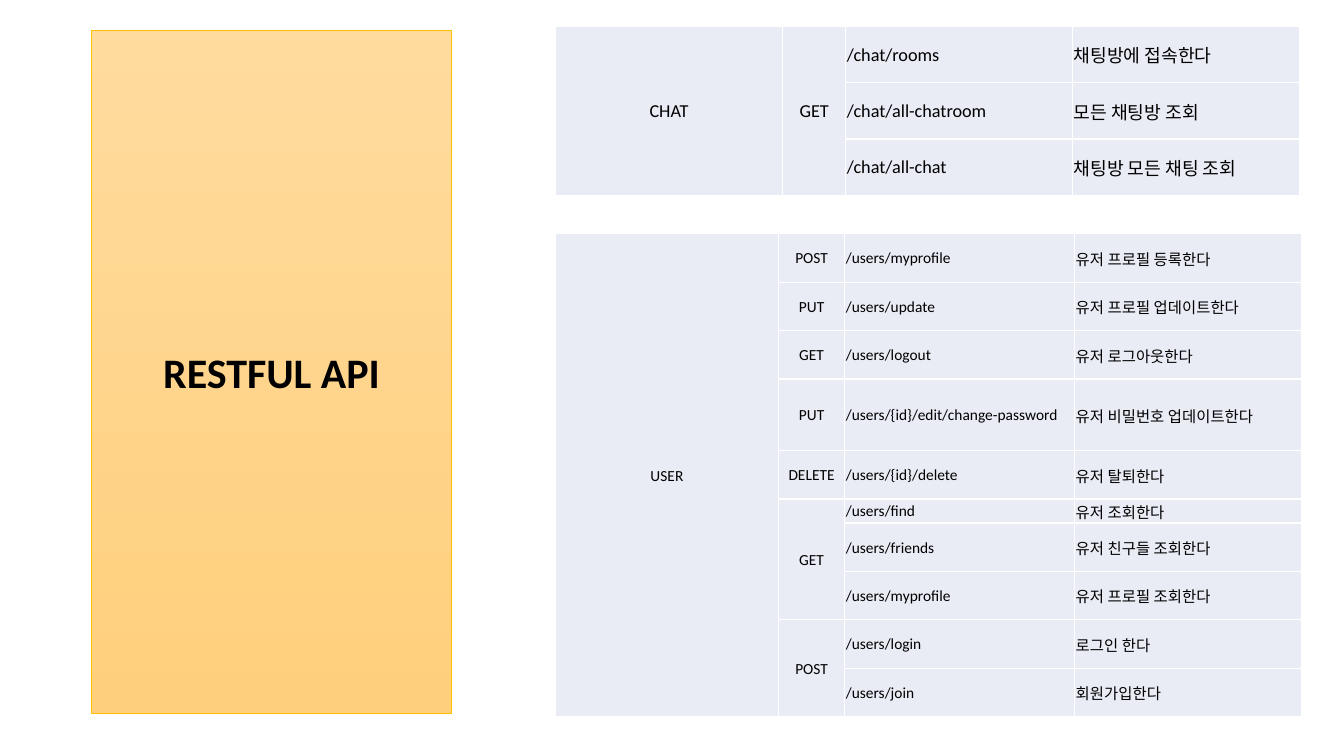
"""Build the RESTful API slide: a title panel beside the chat and user endpoint tables."""
from lxml.etree import SubElement
from pptx import Presentation
from pptx.dml.color import RGBColor
from pptx.enum.shapes import MSO_SHAPE
from pptx.enum.text import MSO_ANCHOR, PP_ALIGN
from pptx.oxml.ns import qn
from pptx.util import Inches, Pt

BLACK = RGBColor(0x00, 0x00, 0x00)
WHITE = RGBColor(0xFF, 0xFF, 0xFF)
CELL_BLUE = RGBColor(0xE9, 0xEB, 0xF5)
PANEL_TOP = RGBColor(0xFF, 0xDB, 0x9E)
PANEL_BOTTOM = RGBColor(0xFF, 0xD0, 0x7C)
PANEL_EDGE = RGBColor(0xFF, 0xC0, 0x00)

CELL_FORMAT = {
    "vertical_anchor": MSO_ANCHOR.MIDDLE,
    "margin_left": Inches(0.01),
    "margin_right": Inches(0.01),
    "margin_top": Inches(0.01),
    "margin_bottom": 0,
}

CHAT = {
    "resource": "CHAT", "top": 0.26, "size": 13,
    "columns": [2.25, 0.63, 2.25, 2.25],
    "heights": [0.56] * 3,
    "methods": [
        ("GET", [("/chat/rooms", "채팅방에 접속한다"),
                 ("/chat/all-chatroom", "모든 채팅방 조회"),
                 ("/chat/all-chat", "채팅방 모든 채팅 조회")]),
    ],
}
USER = {
    "resource": "USER", "top": 2.32, "size": 11,
    "columns": [2.21, 0.66, 2.28, 2.25],
    "heights": [0.48] * 3 + [0.71, 0.48, 0.24] + [0.48] * 4,
    "methods": [
        ("POST", [("/users/myprofile", "유저 프로필 등록한다")]),
        ("PUT", [("/users/update", "유저 프로필 업데이트한다")]),
        ("GET", [("/users/logout", "유저 로그아웃한다")]),
        ("PUT", [("/users/{id}/edit/change-password", "유저 비밀번호 업데이트한다")]),
        ("DELETE", [("/users/{id}/delete", "유저 탈퇴한다")]),
        ("GET", [("/users/find", "유저 조회한다"),
                 ("/users/friends", "유저 친구들 조회한다"),
                 ("/users/myprofile", "유저 프로필 조회한다")]),
        ("POST", [("/users/login", "로그인 한다"),
                  ("/users/join", "회원가입한다")]),
    ],
}


def write(frame, text, size, align, bold=False):
    """Put one formatted line of text into a text frame."""
    line = frame.paragraphs[0]
    line.alignment = align
    run = line.add_run()
    run.text = text
    run.font.color.rgb = BLACK
    for name, value in {"name": "Calibri", "size": Pt(size), "bold": bold}.items():
        setattr(run.font, name, value)


def style_cell(cell):
    """Give a table cell its margins, white borders and fill."""
    for name, value in CELL_FORMAT.items():
        setattr(cell, name, value)
    properties = cell._tc.get_or_add_tcPr()
    for side in ("a:lnL", "a:lnR", "a:lnT", "a:lnB"):
        border = SubElement(properties, qn(side), w=str(Pt(1)))
        SubElement(SubElement(border, qn("a:solidFill")), qn("a:srgbClr"), val=str(WHITE))
    cell.fill.solid()
    cell.fill.fore_color.rgb = CELL_BLUE


prs = Presentation()
prs.slide_width, prs.slide_height = Inches(13.33), Inches(7.5)
slide = prs.slides.add_slide(prs.slide_layouts[6])

for api in (CHAT, USER):
    heights, columns = api["heights"], api["columns"]
    endpoints = slide.shapes.add_table(
        len(heights), len(columns), Inches(5.51), Inches(api["top"]),
        Inches(sum(columns)), Inches(sum(heights))).table
    endpoints.first_row = endpoints.horz_banding = False
    for column, width in zip(endpoints.columns, columns):
        column.width = Inches(width)
    for row, height in zip(endpoints.rows, heights):
        row.height = Inches(height)
    for cell in endpoints.iter_cells():
        style_cell(cell)

    resource = endpoints.cell(0, 0)
    resource.merge(endpoints.cell(len(heights) - 1, 0))
    write(resource.text_frame, api["resource"], api["size"], PP_ALIGN.CENTER)

    first = 0
    for verb, routes in api["methods"]:
        method = endpoints.cell(first, 1)
        if len(routes) > 1:
            method.merge(endpoints.cell(first + len(routes) - 1, 1))
        write(method.text_frame, verb, api["size"], PP_ALIGN.CENTER)
        for index, route in enumerate(routes, first):
            for column, text in enumerate(route, 2):
                write(endpoints.cell(index, column).text_frame, text,
                      api["size"], PP_ALIGN.LEFT)
        first += len(routes)

title_panel = slide.shapes.add_shape(
    MSO_SHAPE.RECTANGLE, Inches(0.91), Inches(0.3), Inches(3.57), Inches(6.78))
title_panel.shadow.inherit = False
title_panel.fill.gradient()
title_panel.fill.gradient_angle = 270
for stop, color in zip(title_panel.fill.gradient_stops, (PANEL_TOP, PANEL_BOTTOM)):
    stop.color.rgb = color
title_panel.line.color.rgb = PANEL_EDGE
title_panel.line.width = Pt(0.5)
title_panel.text_frame.vertical_anchor = MSO_ANCHOR.MIDDLE
write(title_panel.text_frame, "RESTFUL API", 30, PP_ALIGN.CENTER, bold=True)

prs.save("out.pptx")
